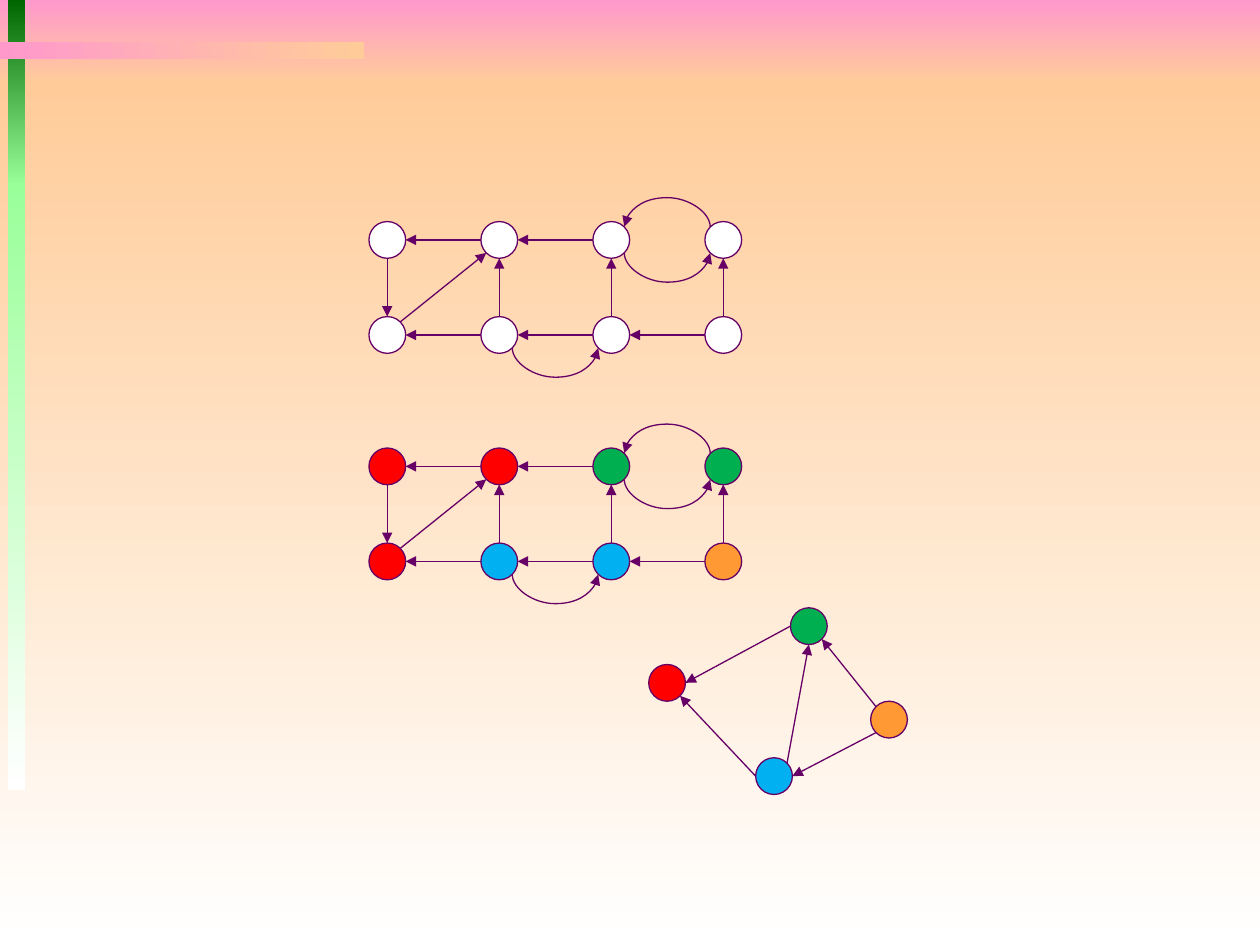
import pptx
import pptx.util
import pptx.dml.color
import pptx.enum.shapes
import pptx.oxml
import pptx.oxml.ns

Pt = pptx.util.Pt
SHAPE = pptx.enum.shapes.MSO_SHAPE
CONNECTOR = pptx.enum.shapes.MSO_CONNECTOR

COLORS = {
    "pink": "FF99CC", "peach": "FFCC99", "white": "FFFFFF",
    "forest": "006600", "mint": "99FF99", "purple": "660066",
    "red": "FF0000", "blue": "00B0F0", "green": "00B050", "orange": "FF9933",
}
RADIUS = 10.5
DIAGONAL = RADIUS * 0.5 ** 0.5
SIDES = {
    "N": (0, -RADIUS), "S": (0, RADIUS), "W": (-RADIUS, 0), "E": (RADIUS, 0),
    "NW": (-DIAGONAL, -DIAGONAL), "NE": (DIAGONAL, -DIAGONAL),
    "SW": (-DIAGONAL, DIAGONAL), "SE": (DIAGONAL, DIAGONAL),
}
COLUMN_GAP, ROW_GAP = 64, 54.3
CURVE_BASE, CURVE_FACTOR = 0.25, 66

GRID_LINES = [
    ((1, 0), "W", (0, 0), "E"),
    ((2, 0), "W", (1, 0), "E"),
    ((1, 1), "N", (1, 0), "S"),
    ((2, 1), "N", (2, 0), "S"),
    ((3, 1), "N", (3, 0), "S"),
    ((0, 0), "S", (0, 1), "N"),
    ((1, 1), "W", (0, 1), "E"),
    ((2, 1), "W", (1, 1), "E"),
    ((3, 1), "W", (2, 1), "E"),
    ((0, 1), "NE", (1, 0), "SW"),
]
GRID_CURVES = [
    ((3, 0), "NW", (2, 0), "NE"),
    ((2, 0), "SE", (3, 0), "SW"),
    ((1, 1), "SE", (2, 1), "SW"),
]
COMPONENT_CENTERS = {
    "red": (10.5, 42.9), "blue": (71.6, 96.2),
    "green": (91.5, 10.5), "orange": (137.3, 63.9),
}
COMPONENT_LINES = [
    ("green", "W", "red", "E"),
    ("orange", "NW", "green", "SE"),
    ("orange", "SW", "blue", "E"),
    ("blue", "W", "red", "SE"),
    ("blue", "NE", "green", "S"),
]


def rgb(name):
    return pptx.dml.color.RGBColor.from_string(COLORS[name])


def add_gradient(s, box, start, end, angle=270):
    sp = s.shapes.add_shape(SHAPE.RECTANGLE, *map(Pt, box))
    sp.shadow.inherit = False
    sp.line.fill.background()
    sp.fill.gradient()
    sp.fill.gradient_angle = angle
    for stop, name, position in zip(sp.fill.gradient_stops, (start, end), (0, 1)):
        stop.color.rgb = rgb(name)
        stop.position = position


def add_node(s, center, color):
    x, y = center
    sp = s.shapes.add_shape(SHAPE.OVAL, Pt(x - RADIUS), Pt(y - RADIUS),
                            Pt(2 * RADIUS), Pt(2 * RADIUS))
    sp.shadow.inherit = False
    sp.fill.solid()
    sp.fill.fore_color.rgb = rgb(color)
    sp.line.color.rgb = rgb("purple")
    sp.line.width = Pt(0.75)


def add_arrow(s, kind, begin, end):
    cxn = s.shapes.add_connector(kind, *map(Pt, begin + end))
    cxn.line.color.rgb = rgb("purple")
    cxn.line.width = Pt(0.75)
    ln = cxn.line._get_or_add_ln()
    tail = pptx.oxml.parse_xml(
        f'<a:tailEnd {pptx.oxml.ns.nsdecls("a")} type="triangle"/>')
    ln.append(tail)
    cxn._element.spPr.append(
        pptx.oxml.parse_xml(f'<a:effectLst {pptx.oxml.ns.nsdecls("a")}/>'))
    return cxn


def add_curve(s, begin, end):
    x, y = (begin[0] + end[0]) / 2, (begin[1] + end[1]) / 2
    run = (end[0] - begin[0]) / 2
    half = CURVE_BASE / 2 if run < 0 else -CURVE_BASE / 2
    cxn = add_arrow(s, CONNECTOR.CURVE, (x - half, y - run), (x + half, y + run))
    spPr = cxn._element.spPr
    spPr.find(pptx.oxml.ns.qn("a:xfrm")).set("rot", "16200000")
    geom = spPr.find(pptx.oxml.ns.qn("a:prstGeom"))
    for child in list(geom):
        geom.remove(child)
    geom.append(pptx.oxml.parse_xml(
        f'<a:avLst {pptx.oxml.ns.nsdecls("a")}>'
        f'<a:gd name="adj1" fmla="val {CURVE_FACTOR * 100000}"/></a:avLst>'))


def side_point(center, side):
    dx, dy = SIDES[side]
    return center[0] + dx, center[1] + dy


def edge_points(centers, edges):
    for source, out_side, target, in_side in edges:
        yield (side_point(centers[source], out_side),
               side_point(centers[target], in_side))


def add_background(s, width, height):
    band = 48
    add_gradient(s, (0, 0, width, band), "pink", "peach")
    add_gradient(s, (0, band, width, height - band), "peach", "white")
    add_gradient(s, (4.3, 0, 10, 106), "forest", "mint")
    add_gradient(s, (4.3, 105, 10, 346.5), "mint", "white")
    add_gradient(s, (0, 24, 208.3, 10), "pink", "peach", 0)


def add_grid_graph(s, left, top, rows):
    centers = {}
    for row, colors in enumerate(rows):
        for col, color in enumerate(colors):
            centers[col, row] = (left + RADIUS + col * COLUMN_GAP,
                                 top + RADIUS + row * ROW_GAP)
            add_node(s, centers[col, row], color)
    for begin, end in edge_points(centers, GRID_LINES):
        add_arrow(s, CONNECTOR.STRAIGHT, begin, end)
    for begin, end in edge_points(centers, GRID_CURVES):
        add_curve(s, begin, end)


def add_component_graph(s, left, top):
    centers = {name: (left + x, top + y)
               for name, (x, y) in COMPONENT_CENTERS.items()}
    for name, center in centers.items():
        add_node(s, center, name)
    for begin, end in edge_points(centers, COMPONENT_LINES):
        add_arrow(s, CONNECTOR.STRAIGHT, begin, end)


def main():
    prs = pptx.Presentation()
    prs.slide_width, prs.slide_height = Pt(720), Pt(540)
    s = prs.slides.add_slide(prs.slide_layouts[6])
    add_background(s, 720, 540)
    add_grid_graph(s, 210.8, 126.6, [["white"] * 4] * 2)
    add_grid_graph(s, 210.8, 256, [["red", "red", "green", "green"],
                                   ["red", "blue", "blue", "orange"]])
    add_component_graph(s, 370.7, 347.3)
    prs.save("out.pptx")


if __name__ == "__main__":
    main()
